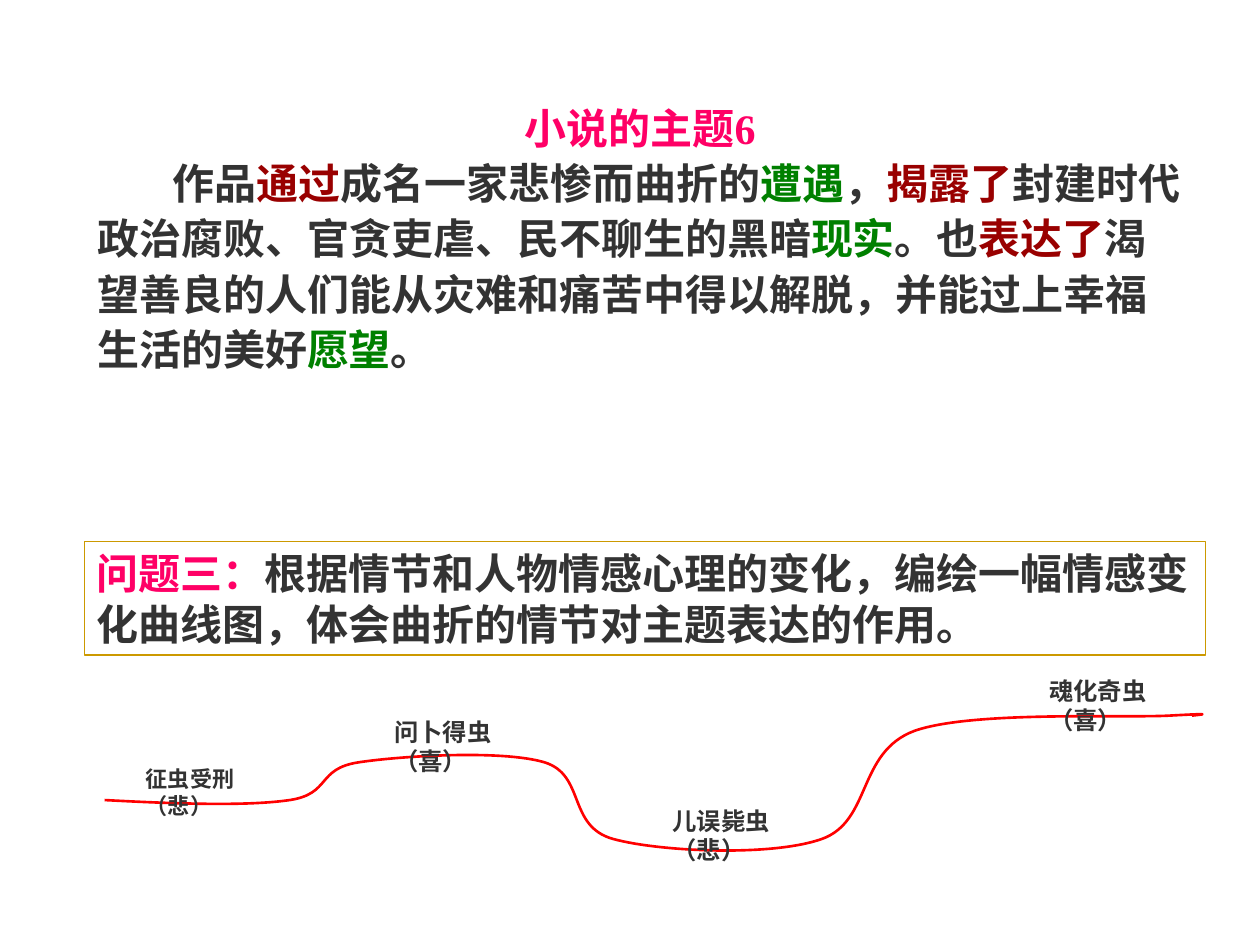
from typing import NamedTuple

from lxml import etree
from pptx import Presentation
from pptx import util as u
from pptx.dml.color import RGBColor
from pptx.enum import shapes, text
from pptx.oxml.ns import qn

PINK, RED, GREEN, DARK = "FF0066", "990000", "008000", "333333"
BODY = 24


class Box(NamedTuple):
    left: float
    top: float
    width: float
    height: float


class Label(NamedTuple):
    box: Box
    event: str
    mood: str
    size: float = 13.9


def color(code: str) -> RGBColor:
    return RGBColor.from_string(code)


def place(shape, box: Box) -> None:
    for name, value in box._asdict().items():
        setattr(shape, name, u.Inches(value))


def setup(shape) -> None:
    style = {
        "word_wrap": True,
        "auto_size": text.MSO_AUTO_SIZE.NONE,
        "vertical_anchor": text.MSO_ANCHOR.TOP,
        "margin_left": u.Inches(0.1),
        "margin_right": u.Inches(0.1),
        "margin_top": u.Inches(0.05),
        "margin_bottom": u.Inches(0.05),
    }
    for name, value in style.items():
        setattr(shape.text_frame, name, value)


def plain(par, indent: float = 0) -> None:
    """Drop the bullet and hanging indent of the template."""
    props = par._p.get_or_add_pPr()
    props.set("marL", "0")
    props.set("indent", str(u.Inches(indent)))
    etree.SubElement(props, qn("a:buNone"))


def write(par, runs: list[tuple[str, str]], size: float, align, **style) -> None:
    par.alignment = align
    for name, value in style.items():
        setattr(par, name, value)
    for words, code in runs:
        run = par.add_run()
        run.text = words
        font = {"name": "Times New Roman", "size": u.Pt(size), "bold": True}
        for name, value in font.items():
            setattr(run.font, name, value)
        run.font.color.rgb = color(code)


def draw_label(slide, label: Label) -> None:
    box = slide.shapes.add_textbox(*map(u.Inches, label.box))
    setup(box)
    frame = box.text_frame
    for par, words in zip((frame.paragraphs[0], frame.add_paragraph()),
                          (label.event, label.mood)):
        write(par, [(words, DARK)], label.size, text.PP_ALIGN.JUSTIFY)


def draw_curve(slide, knots: list[tuple[float, float]]) -> None:
    start, *rest = [tuple(map(u.Inches, knot)) for knot in knots]
    outline = slide.shapes.build_freeform(*start)
    outline.add_line_segments(rest, close=False)
    curve = outline.convert_to_shape()
    # Every three straight steps become one bend
    steps = list(curve._element.iter(qn("a:lnTo")))
    for i in range(0, len(steps), 3):
        bend = etree.Element(qn("a:cubicBezTo"))
        steps[i].addprevious(bend)
        for step in steps[i:i + 3]:
            bend.append(step[0])
            step.getparent().remove(step)
    curve.shadow.inherit = False
    curve.fill.background()
    curve.line.color.rgb = color("FF0000")
    curve.line.width = u.Pt(1.5)


THEME = [
    ("作品", DARK), ("通过", RED), ("成名一家悲惨而曲折的", DARK), ("遭遇", GREEN),
    ("，", DARK), ("揭露了", RED),
    ("封建时代政治腐败、官贪吏虐、民不聊生的黑暗", DARK), ("现实", GREEN),
    ("。也", DARK), ("表达了", RED),
    ("渴望善良的人们能从灾难和痛苦中得以解脱，并能过上幸福生活的美好", DARK),
    ("愿望", GREEN), ("。", DARK),
]
TASK = [
    ("问题三：", PINK),
    ("根据情节和人物情感心理的变化，编绘一幅情感变化曲线图，"
     "体会曲折的情节对主题表达的作用。", DARK),
]
# Start point, then two handles and an end point for each bend
MOOD = [
    (0.83, 6.35),
    (1.39, 6.38), (1.96, 6.4), (2.3, 6.35),
    (2.63, 6.3), (2.51, 6.1), (2.85, 6.05),
    (3.18, 6), (3.98, 5.95), (4.32, 6.05),
    (4.65, 6.15), (4.5, 6.56), (4.87, 6.66),
    (5.24, 6.76), (6.12, 6.8), (6.52, 6.66),
    (6.92, 6.52), (6.8, 5.97), (7.26, 5.8),
    (7.72, 5.64), (8.91, 5.7), (9.28, 5.68),
    (9.65, 5.66), (9.55, 5.67), (9.46, 5.68),
]
LABELS = [
    Label(Box(1.06, 6.03, 1.34, 0.54), "征虫受刑", "（悲）", 12.6),
    Label(Box(3.03, 5.64, 1.42, 0.6), "问卜得虫", "（喜）"),
    Label(Box(5.24, 6.35, 1.42, 0.6), "儿误毙虫", "（悲）"),
    Label(Box(8.23, 5.32, 1.42, 0.6), "魂化奇虫", "（喜）"),
]


def main() -> None:
    deck = Presentation()
    deck.slide_width, deck.slide_height = u.Inches(10), u.Inches(7.5)
    slide = deck.slides.add_slide(deck.slide_layouts[1])
    title = slide.shapes.title._element
    title.getparent().remove(title)

    # Heading and theme share the body
    body = slide.placeholders[1]
    place(body, Box(0.67, 0.76, 8.82, 2.26))
    setup(body)
    head, theme = body.text_frame.paragraphs[0], body.text_frame.add_paragraph()
    plain(head)
    write(head, [("小说的主题6", PINK)], BODY, text.PP_ALIGN.CENTER,
          space_before=u.Pt(0))
    plain(theme, 0.6)
    write(theme, THEME, BODY, text.PP_ALIGN.LEFT, line_spacing=1.1,
          space_before=u.Pt(0))

    # Framed question
    task = slide.shapes.add_shape(shapes.MSO_SHAPE.RECTANGLE,
                                  *map(u.Inches, Box(0.67, 4.3, 8.9, 0.9)))
    task.shadow.inherit = False
    task.fill.background()
    task.line.color.rgb = color("CC9900")
    task.line.width = u.Pt(0.75)
    setup(task)
    write(task.text_frame.paragraphs[0], TASK, BODY, text.PP_ALIGN.LEFT)

    # Mood curve and its labels
    draw_curve(slide, MOOD)
    for label in LABELS:
        draw_label(slide, label)

    deck.save("out.pptx")


if __name__ == "__main__":
    main()
